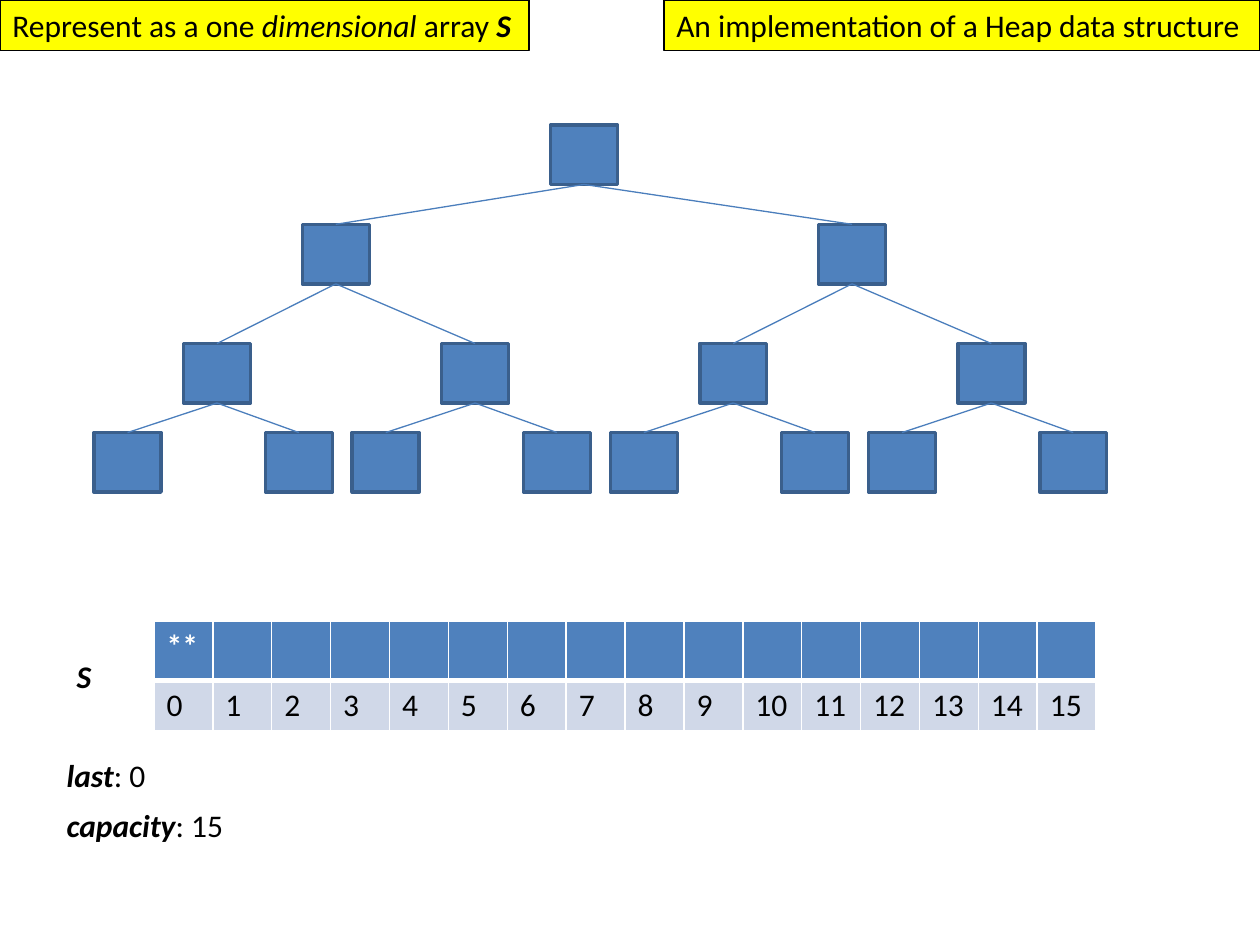
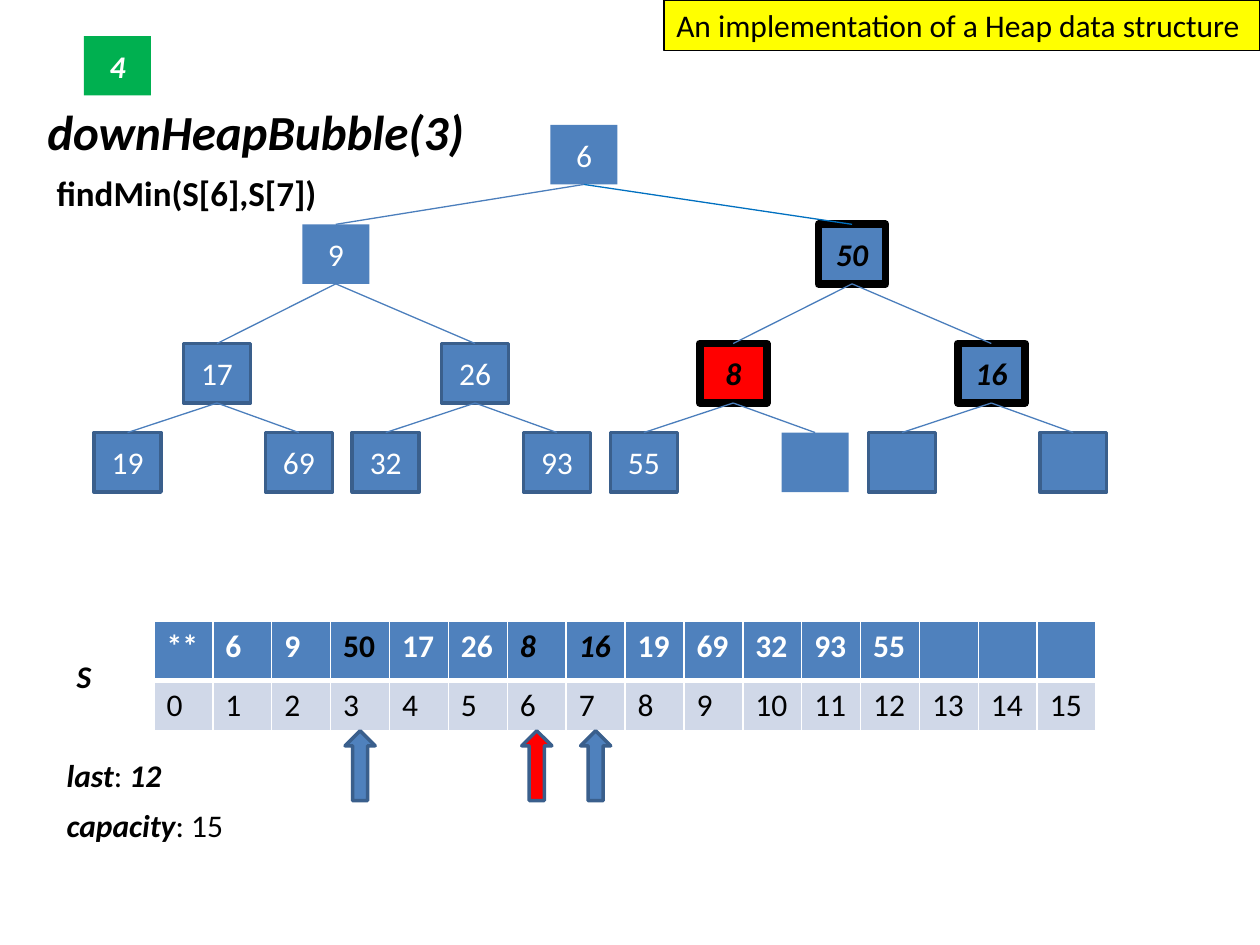
from dataclasses import dataclass
from lxml import etree
from pptx import Presentation
from pptx import util as u
from pptx.dml import color
from pptx.enum import shapes, text
from pptx.oxml import ns


@dataclass(frozen=True)
class Theme:
    font: str = "Calibri"
    body: int = 18
    step: int = 20
    title: int = 28
    black: str = "000000"
    white: str = "FFFFFF"
    blue: str = "4F81BD"
    edge: str = "3A5F8C"
    link: str = "4B7EBC"
    strong_link: str = "0070C0"
    pale: str = "D0D8E8"
    yellow: str = "FFFF00"
    red: str = "FF0000"
    green: str = "00B050"


theme = Theme()

HEAP_BANNER = ([("An implementation of a Heap data structure", "")], (379.4, 0, 340.6, 28.8))
ARRAY_BANNER = ([("Represent as a one ", ""), ("dimensional", "i"), (" array ", ""), ("S", "bi")],
                (0, 0, 302.4, 28.8))
ARRAY_NAME = ([("S", "bi")], (36.7, 372.2, 23, 28.8), theme.body)
CAPACITY = ([("capacity", "bi"), (": 15", "")], (31, 457.2, 105, 28.8), theme.body)

PAGES = [
    {
        "banners": [HEAP_BANNER, ARRAY_BANNER],
        "values": [], "plain": [], "compared": [], "smallest": None,
        "arrows": [], "strong_links": [], "badge": None,
        "labels": [ARRAY_NAME, CAPACITY,
                   ([("last", "bi"), (": 0", "")], (31, 428.4, 60.5, 28.8), theme.body)],
    },
    {
        "banners": [HEAP_BANNER],
        "values": [6, 9, 50, 17, 26, 8, 16, 19, 69, 32, 93, 55],
        "plain": [1, 2, 13], "compared": [3, 6, 7], "smallest": 6,
        "arrows": [3, 6, 7], "strong_links": [3], "badge": "4",
        "labels": [ARRAY_NAME, CAPACITY,
                   ([("last", "bi"), (": ", ""), ("12", "bi")], (31, 428.4, 69, 28.8), theme.body),
                   ([("downHeapBubble(3)", "bi")], (20, 54.7, 255, 41), theme.title),
                   ([("findMin(S[6],S[7])", "b")], (25.2, 94.5, 165, 31.5), theme.step)],
    },
]

NODE_WIDTH, NODE_HEIGHT = 38.3, 34
ROOT_CENTER = 333.7
LEVEL_TOPS = [71.4, 128.2, 196.3, 247.2]
CHILD_OFFSETS = [(-141.8, 153.2), (-67.9, 79.6), (-51.1, 46.8)]
CAPACITY_COUNT = 15
TABLE_LEFT, TABLE_TOP, COLUMN_WIDTH = 88, 355, 33.65
ROW_HEIGHTS = (33.8, 28.8)
ARROW_WIDTH, ARROW_HEIGHT = 17.2, 39.9


def rgb(value):
    return color.RGBColor.from_string(value)


def points(*lengths):
    return [u.Pt(length) for length in lengths]


def write(frame, spans, size=theme.body, ink=theme.black, align=text.PP_ALIGN.LEFT):
    para = frame.paragraphs[0]
    para.alignment = align
    for words, style in spans:
        span = para.add_run()
        span.text = words
        span.font.name = theme.font
        span.font.size = u.Pt(size)
        span.font.bold = "b" in style
        span.font.italic = "i" in style
        span.font.color.rgb = rgb(ink)


def fit_to_text(frame):
    frame.word_wrap = False
    frame.auto_size = text.MSO_AUTO_SIZE.SHAPE_TO_FIT_TEXT
    frame.vertical_anchor = text.MSO_ANCHOR.TOP


def add_box(page, place, fill, line=None, width=0, kind=shapes.MSO_SHAPE.RECTANGLE):
    box = page.shapes.add_shape(kind, *points(*place))
    box.shadow.inherit = False
    box.fill.solid()
    box.fill.fore_color.rgb = rgb(fill)
    if line:
        box.line.color.rgb = rgb(line)
        box.line.width = u.Pt(width)
    else:
        box.line.fill.background()
    return box


def add_banner(page, spans, place):
    box = add_box(page, place, theme.yellow, theme.black, 0.75)
    fit_to_text(box.text_frame)
    write(box.text_frame, spans)


def add_label(page, spans, place, size):
    box = page.shapes.add_textbox(*points(*place))
    fit_to_text(box.text_frame)
    write(box.text_frame, spans, size)


def write_node(box, words, style="", ink=theme.white):
    box.text_frame.vertical_anchor = text.MSO_ANCHOR.MIDDLE
    write(box.text_frame, [(words, style)], ink=ink, align=text.PP_ALIGN.CENTER)


def add_link(page, parent, child, ink):
    link = page.shapes.add_connector(shapes.MSO_CONNECTOR.STRAIGHT, 0, 0, 0, 0)
    link.begin_connect(parent, 2)
    link.end_connect(child, 0)
    link.line.color.rgb = rgb(ink)
    link.line.width = u.Pt(0.75)
    etree.SubElement(link._element.spPr, ns.qn("a:effectLst"))


def node_center(index):
    if index == 1:
        return ROOT_CENTER
    parent = index // 2
    return node_center(parent) + CHILD_OFFSETS[parent.bit_length() - 1][index % 2]


def add_tree(page, content):
    nodes = {}
    for index in range(1, CAPACITY_COUNT + 1):
        compared = index in content["compared"]
        fill = theme.red if index == content["smallest"] else theme.blue
        line, width = (theme.black, 4.5) if compared else (theme.edge, 2)
        if index in content["plain"]:
            line = None
        place = (node_center(index) - NODE_WIDTH / 2, LEVEL_TOPS[index.bit_length() - 1],
                 NODE_WIDTH, NODE_HEIGHT)
        nodes[index] = add_box(page, place, fill, line, width)
        if index <= len(content["values"]):
            write_node(nodes[index], str(content["values"][index - 1]),
                       "bi" if compared else "", theme.black if compared else theme.white)
    for index in range(2, CAPACITY_COUNT + 1):
        ink = theme.strong_link if index in content["strong_links"] else theme.link
        add_link(page, nodes[index // 2], nodes[index], ink)


def style_cell(cell, fill, bottom, top):
    properties = cell._tc.get_or_add_tcPr()
    for side, width in (("L", 1), ("R", 1), ("T", top), ("B", bottom)):
        border = etree.SubElement(properties, ns.qn("a:ln" + side), w=str(u.Pt(width)))
        paint = etree.SubElement(border, ns.qn("a:solidFill"))
        etree.SubElement(paint, ns.qn("a:srgbClr"), val=theme.white)
    cell.fill.solid()
    cell.fill.fore_color.rgb = rgb(fill)


def add_array(page, content):
    columns = CAPACITY_COUNT + 1
    frame = page.shapes.add_table(2, columns, *points(
        TABLE_LEFT, TABLE_TOP, columns * COLUMN_WIDTH, sum(ROW_HEIGHTS)))
    table = frame.table
    table.first_row = table.horz_banding = False
    for row, height in zip(table.rows, ROW_HEIGHTS):
        row.height = u.Pt(height)
    entries = ["**", *map(str, content["values"])]
    for index in range(columns):
        table.columns[index].width = u.Pt(COLUMN_WIDTH)
        stored, position = table.cell(0, index), table.cell(1, index)
        style_cell(stored, theme.blue, bottom=3, top=1)
        style_cell(position, theme.pale, bottom=1, top=3)
        write(position.text_frame, [(str(index), "")])
        if index < len(entries):
            compared = index in content["compared"]
            style = "bi" if compared and index != 3 else "b"
            write(stored.text_frame, [(entries[index], style)],
                  ink=theme.black if compared else theme.white)
        else:
            stored.text_frame.paragraphs[0].font.size = u.Pt(theme.body)


def add_arrows(page, content):
    for index in content["arrows"]:
        left = TABLE_LEFT + (index + 0.5) * COLUMN_WIDTH - ARROW_WIDTH / 2
        place = (left, TABLE_TOP + sum(ROW_HEIGHTS), ARROW_WIDTH, ARROW_HEIGHT)
        fill = theme.red if index == content["smallest"] else theme.blue
        add_box(page, place, fill, theme.edge, 2, shapes.MSO_SHAPE.UP_ARROW)


deck = Presentation()
deck.slide_width, deck.slide_height = points(720, 540)
for content in PAGES:
    page = deck.slides.add_slide(deck.slide_layouts[6])
    for banner in content["banners"]:
        add_banner(page, *banner)
    add_tree(page, content)
    add_array(page, content)
    for label in content["labels"]:
        add_label(page, *label)
    if content["badge"]:
        badge = add_box(page, (48, 20.6, NODE_WIDTH, NODE_HEIGHT), theme.green)
        write_node(badge, content["badge"], "bi")
    add_arrows(page, content)
deck.save("out.pptx")
